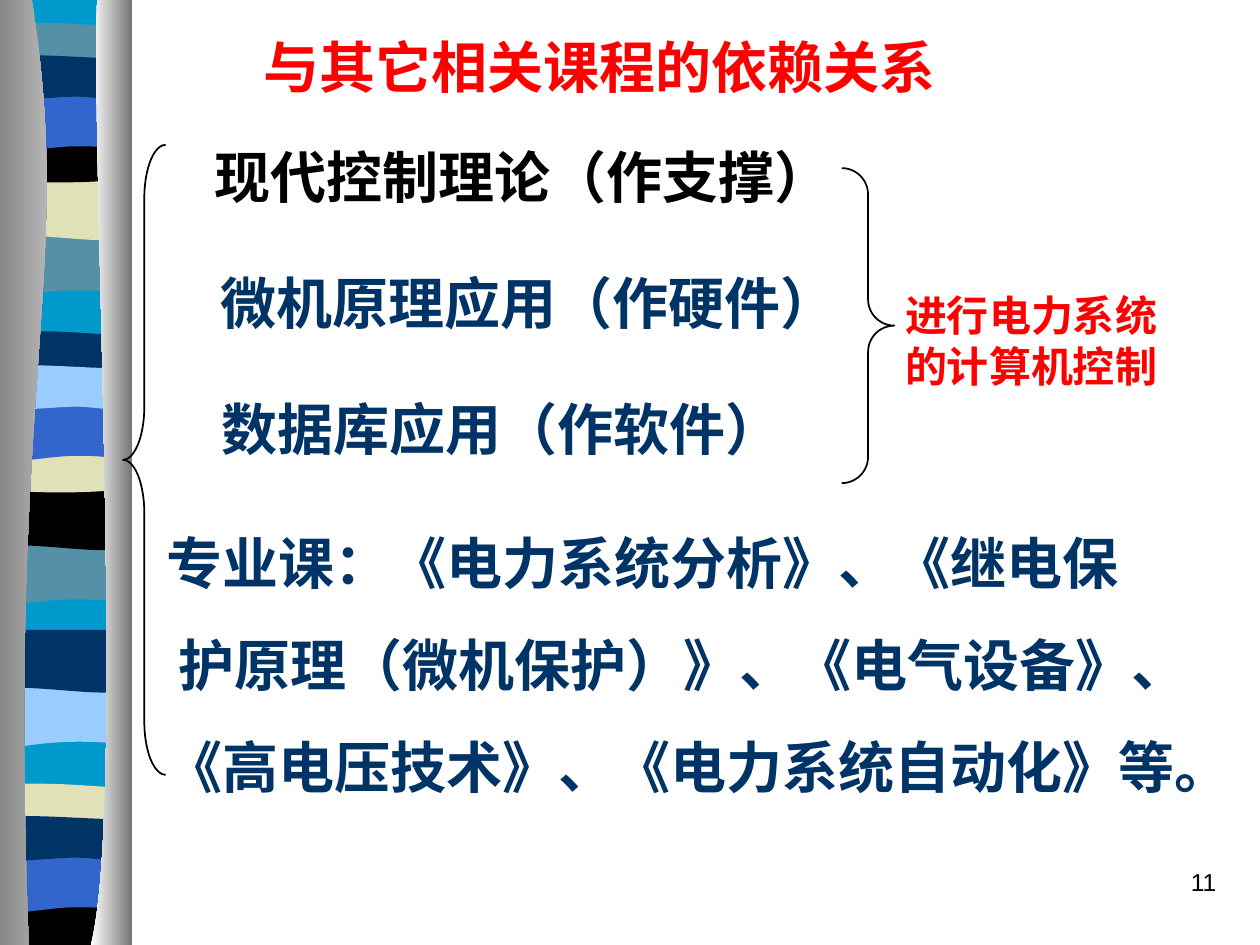
from pptx import Presentation
from pptx.dml.color import RGBColor
from pptx.enum import shapes, text
from pptx.oxml import ns
from pptx.util import Cm, Pt

COLORS = {
    "cyan": "0099CC", "teal": "5490A8", "cream": "E1E1B7", "black": "000000",
    "blue": "3366CC", "navy": "003366", "sky": "99CCFF", "red": "FF0000",
    "white": "FFFFFF", "gray": "767676", "silver": "D3D3D3",
}


def write_text(shape, content, size=32, color="navy", bold=True,
               align=text.PP_ALIGN.CENTER, font="Times New Roman", gap=20):
    frame = shape.text_frame
    frame.word_wrap = True
    frame.auto_size = text.MSO_AUTO_SIZE.NONE
    frame.vertical_anchor = text.MSO_ANCHOR.TOP
    frame.margin_left = frame.margin_right = Cm(0.25)
    frame.margin_top = frame.margin_bottom = Cm(0.13)
    frame.text = content
    for index, paragraph in enumerate(frame.paragraphs):
        paragraph.alignment = align
        paragraph.space_before = Pt(gap if index else 0)
        paragraph.font.name = font
        paragraph.font.size = Pt(size)
        paragraph.font.bold = bold
        paragraph.font.color.rgb = RGBColor.from_string(COLORS[color])


def add_outline(parent, steps, top=0):
    """Pairs are straight steps; six numbers are a cubic curve. Lengths in cm."""
    corners = [(Cm(step[i]), Cm(step[i + 1] + top))
               for step in steps for i in range(0, len(step), 2)]
    builder = parent.build_freeform(*corners[0])
    builder.add_line_segments(corners[1:], close=True)
    outline = builder.convert_to_shape()
    # Merge the three points of each curve into one cubic segment
    segments = iter(list(outline._element.iter(ns.qn("a:lnTo"))))
    for step in steps[1:]:
        segment = next(segments)
        if len(step) == 6:
            segment.tag = ns.qn("a:cubicBezTo")
            for extra in (next(segments), next(segments)):
                segment.append(extra[0])
                extra.getparent().remove(extra)
    outline.shadow.inherit = False
    outline.line.fill.background()
    return outline


presentation = Presentation()
presentation.slide_width, presentation.slide_height = Cm(25.4), Cm(19.05)
slide = presentation.slides.add_slide(presentation.slide_layouts[5])

# Ribbon: wavy bands that recur down the left side
LEFT, RIGHT = -0.15, 2.59
waves = {
    "base": [(RIGHT, 0), (RIGHT, 19), (LEFT, 19), (LEFT, 0)],
    "dip": [(RIGHT, 0), (RIGHT, 1.19), (0.69, 0.99, 0.3, 1.4, LEFT, 1.19), (LEFT, 0)],
    "swell": [(RIGHT, 0), (RIGHT, 1.19), (2.13, 1.4, 0.69, 1.07, LEFT, 1.19), (LEFT, 0)],
    "lens": [(RIGHT, 0.13), (RIGHT, 0.74), (2.13, 0.84, 0.3, 0.84, LEFT, 0.74),
             (LEFT, 0.13), (0.03, 0, 0.43, 0.03, 0.89, 0.03),
             (1.35, 0.03, 2.24, 0.1, RIGHT, 0.13)],
    "bowl": [(RIGHT, 0), (RIGHT, 0.84), (2.13, 0.97, 0.3, 0.97, LEFT, 0.84),
             (LEFT, 0), (1.52, 0.13, 2.03, 0, RIGHT, 0)],
    "foot": [(RIGHT, 0), (RIGHT, 0.97), (LEFT, 0.97), (LEFT, 0),
             (1.52, 0.13, 2.03, 0, RIGHT, 0)],
    "arch": [(RIGHT, 0), (RIGHT, 1.19), (2.16, 1.04, 1.98, 1.04, 1.52, 1.04),
             (1.07, 1.04, 0.25, 1.19, LEFT, 1.19), (LEFT, 0)],
    "ripple": [(RIGHT, 0.13), (RIGHT, 0.91), (2.41, 1.04, 1.98, 0.91, 1.52, 0.91),
               (1.07, 0.91, 0.13, 1.04, LEFT, 0.91), (LEFT, 0.13),
               (0.23, 0, 1.7, 0.13, 2.16, 0.13), (RIGHT, 0.13)],
}
bands = [
    ("base", 0, "cyan"),
    ("dip", 4.72, "teal"), ("swell", 3.58, "cream"), ("lens", 0.43, "teal"),
    ("bowl", 2.74, "black"), ("arch", 1.91, "blue"), ("ripple", 1.04, "navy"),
    ("dip", 10.95, "teal"), ("swell", 9.83, "black"), ("lens", 6.65, "navy"),
    ("bowl", 8.99, "cream"), ("arch", 8.15, "blue"), ("ripple", 7.29, "sky"),
    ("dip", 13.82, "sky"), ("swell", 12.7, "navy"), ("lens", 15.77, "cream"),
    ("foot", 18.08, "black"), ("arch", 17.25, "blue"), ("ripple", 16.38, "navy"),
]
ribbon = slide.shapes.add_group_shape()
for wave, top, color in bands:
    band = add_outline(ribbon.shapes, waves[wave], top)
    band.fill.solid()
    band.fill.fore_color.rgb = RGBColor.from_string(COLORS[color])

# Metallic edges on both sides of the ribbon
edges = [
    ([(0.64, 0), (1.52, 5.51, 0.13, 7.52, 0.58, 19.05), (-0.3, 19.05), (-0.3, 0)],
     ("gray", "silver")),
    ([(1.96, 0), (1.83, 3.18, 2.54, 16.43, 1.83, 19.05), (2.66, 19.05), (2.66, 0)],
     ("white", "gray")),
]
for steps, stops in edges:
    edge = add_outline(ribbon.shapes, steps)
    edge.fill.gradient()
    edge.fill.gradient_angle = 0
    for stop, position, color in zip(edge.fill.gradient_stops, (0, 1), stops):
        stop.position = position
        stop.color.rgb = RGBColor.from_string(COLORS[color])

# Title
title = slide.shapes.title
title.left, title.top, title.width, title.height = Cm(4.5), Cm(0.53), Cm(15.19), Cm(1.63)
write_text(title, "与其它相关课程的依赖关系", color="red")

# Braces
braces = [
    (shapes.MSO_SHAPE.LEFT_BRACE, 2.48, 2.92, 0.86, 12.7, 1.25),
    (shapes.MSO_SHAPE.RIGHT_BRACE, 16.97, 3.39, 1.06, 6.35, 0.5),
]
for preset, left, top, width, height, curl in braces:
    brace = slide.shapes.add_shape(preset, Cm(left), Cm(top), Cm(width), Cm(height))
    brace.adjustments[0] = curl
    brace.shadow.inherit = False
    brace.fill.background()
    brace.line.color.rgb = RGBColor.from_string(COLORS["black"])
    brace.line.width = Pt(1)

# Courses, conclusion and page number
major_courses = "\n".join([
    "专业课：《电力系统分析》、《继电保",
    " 护原理（微机保护）》、《电气设备》、",
    "《高电压技术》、《电力系统自动化》等。",
])
labels = [
    (3.9, 2.74, 13.28, 1.63, "现代控制理论（作支撑）", {"color": "black"}),
    (3.7, 5.28, 13.92, 1.63, "微机原理应用（作硬件）", {}),
    (4.09, 7.82, 12.04, 1.63, "数据库应用（作软件）", {}),
    (3.1, 10.52, 22.4, 5.74, major_courses, {"align": text.PP_ALIGN.LEFT}),
    (17.61, 5.71, 6.35, 2.29, "进行电力系统的计算机控制", {"size": 24, "color": "red"}),
    (19.49, 17.35, 5.28, 1.27, "11",
     {"size": 14, "color": "black", "bold": False, "font": "Arial",
      "align": text.PP_ALIGN.RIGHT}),
]
for left, top, width, height, content, style in labels:
    box = slide.shapes.add_textbox(Cm(left), Cm(top), Cm(width), Cm(height))
    write_text(box, content, **style)

presentation.save("out.pptx")
